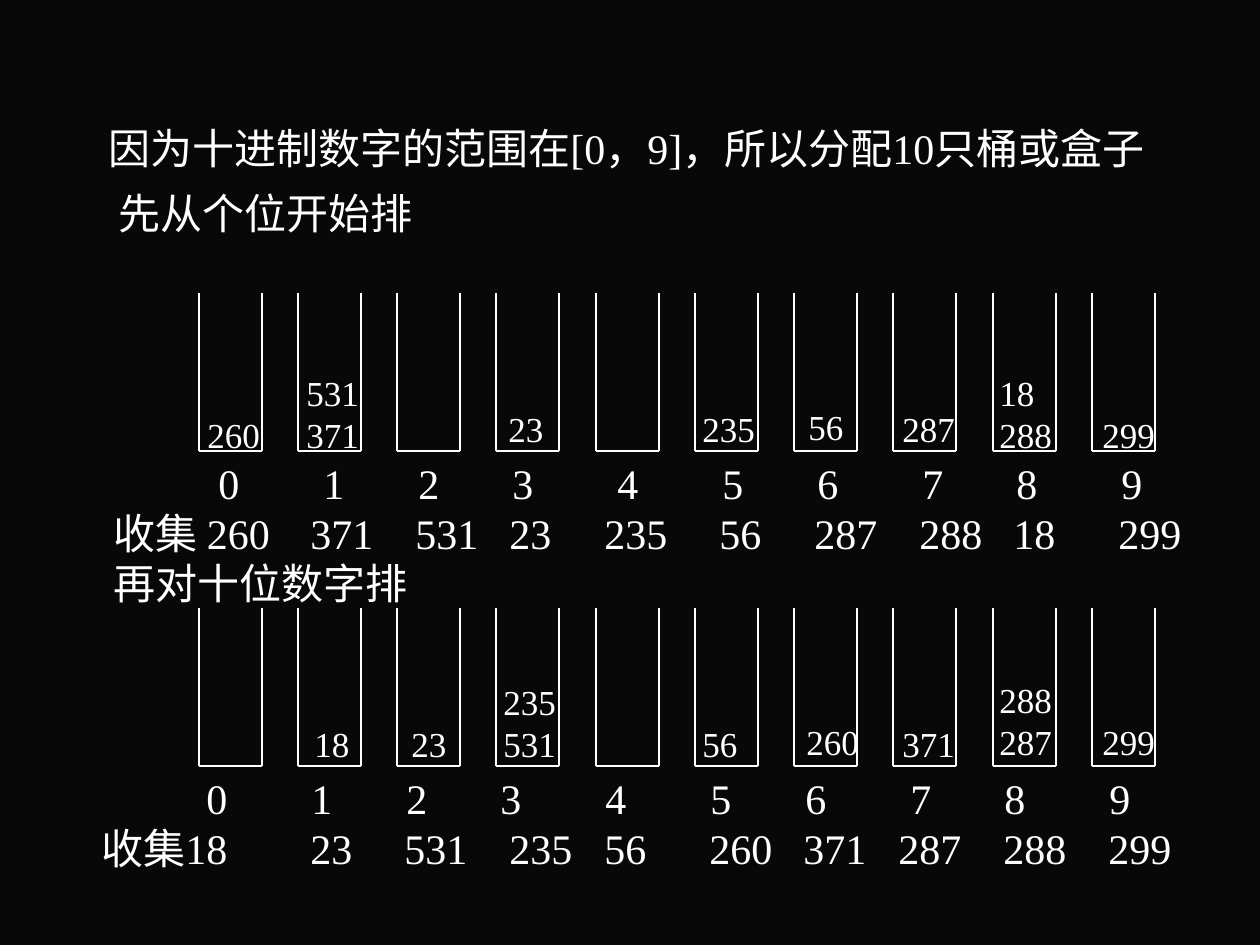
from lxml.etree import SubElement
from pptx import Presentation
from pptx.dml.color import RGBColor
from pptx.enum.shapes import MSO_CONNECTOR
from pptx.oxml.ns import qn
from pptx.util import Emu, Pt

PX = 914400 // 126
FONT = "Times New Roman"
WHITE = "FFFFFF"
BUCKET_LEFT, BUCKET_PITCH, BUCKET_WIDTH, BUCKET_HEIGHT = 199, 99, 63, 158
DIGIT_STOPS = [105, 210, 305, 399, 504, 609, 704, 809, 903, 1008]
UNITS_STOPS = [197, 302, 396, 491, 606, 701, 806, 900, 1005]
TENS_STOPS = [209, 303, 408, 503, 608, 702, 797, 902, 1007]
DIGITS = "".join(f"\t{digit}" for digit in range(10))


def px(length):
    return Emu(length * PX)


def colour(hex_code):
    return RGBColor.from_string(hex_code)


def add_tab_stops(paragraph, stops):
    tab_list = SubElement(paragraph._p.get_or_add_pPr(), qn("a:tabLst"))
    for stop in stops:
        SubElement(tab_list, qn("a:tab"), pos=str(px(stop)), algn="l")


def add_text(slide, left, top, width, size, lines):
    height = 13 + len(lines) * size * 21 // 10
    box = slide.shapes.add_textbox(px(left), px(top), px(width), px(height))
    frame = box.text_frame
    frame.word_wrap = True
    frame.margin_right = 0
    for index, (wording, stops) in enumerate(lines):
        paragraph = frame.add_paragraph() if index else frame.paragraphs[0]
        if stops:
            add_tab_stops(paragraph, stops)
        paragraph.line_spacing = Pt(size * 1.2)
        run = paragraph.add_run()
        run.text = wording
        run.font.name = FONT
        run.font.size = Pt(size)
        run.font.color.rgb = colour(WHITE)


def add_line(slide, x1, y1, x2, y2):
    line = slide.shapes.add_connector(
        MSO_CONNECTOR.STRAIGHT, px(x1), px(y1), px(x2), px(y2))
    line.line.color.rgb = colour(WHITE)
    line.line.width = Pt(1)
    SubElement(line._element.spPr, qn("a:effectLst"))


def add_buckets(slide, top):
    bottom = top + BUCKET_HEIGHT
    for digit in range(10):
        left = BUCKET_LEFT + digit * BUCKET_PITCH + digit // 4
        right = left + BUCKET_WIDTH
        add_line(slide, left, top, left, bottom)
        add_line(slide, right, top, right, bottom)
        add_line(slide, left, bottom, right, bottom)


def add_contents(slide, contents):
    for left, top, numbers in contents:
        add_text(slide, left, top, 77, 20, [(number, None) for number in numbers])


def main():
    deck = Presentation()
    deck.slide_width, deck.slide_height = px(1260), px(945)
    slide = deck.slides.add_slide(deck.slide_layouts[6])
    slide.background.fill.solid()
    slide.background.fill.fore_color.rgb = colour("080808")

    add_text(slide, 96, 116, 1150, 24,
             [("因为十进制数字的范围在[0，9]，所以分配10只桶或盒子", None)])
    add_text(slide, 106, 181, 319, 24, [("先从个位开始排", None)])
    add_text(slide, 101, 451, 1130, 24, [
        (DIGITS, DIGIT_STOPS),
        ("收集 260\t371\t531\t23\t235\t56\t287\t288\t18\t299", UNITS_STOPS),
        ("再对十位数字排", None),
    ])
    add_buckets(slide, 293)
    add_contents(slide, [
        (195, 407, ["260"]), (294, 365, ["531", "371"]), (496, 401, ["23"]),
        (690, 401, ["235"]), (796, 399, ["56"]), (890, 401, ["287"]),
        (987, 365, ["18", "288"]), (1090, 407, ["299"]),
    ])

    add_buckets(slide, 608)
    add_text(slide, 89, 766, 1130, 24, [
        (DIGITS, DIGIT_STOPS),
        ("收集18\t23\t531\t235\t56\t260\t371\t287\t288\t299", TENS_STOPS),
    ])
    add_contents(slide, [
        (302, 716, ["18"]), (399, 716, ["23"]), (491, 674, ["235", "531"]),
        (690, 716, ["56"]), (794, 714, ["260"]), (890, 716, ["371"]),
        (987, 672, ["288", "287"]), (1090, 714, ["299"]),
    ])
    deck.save("out.pptx")


if __name__ == "__main__":
    main()
